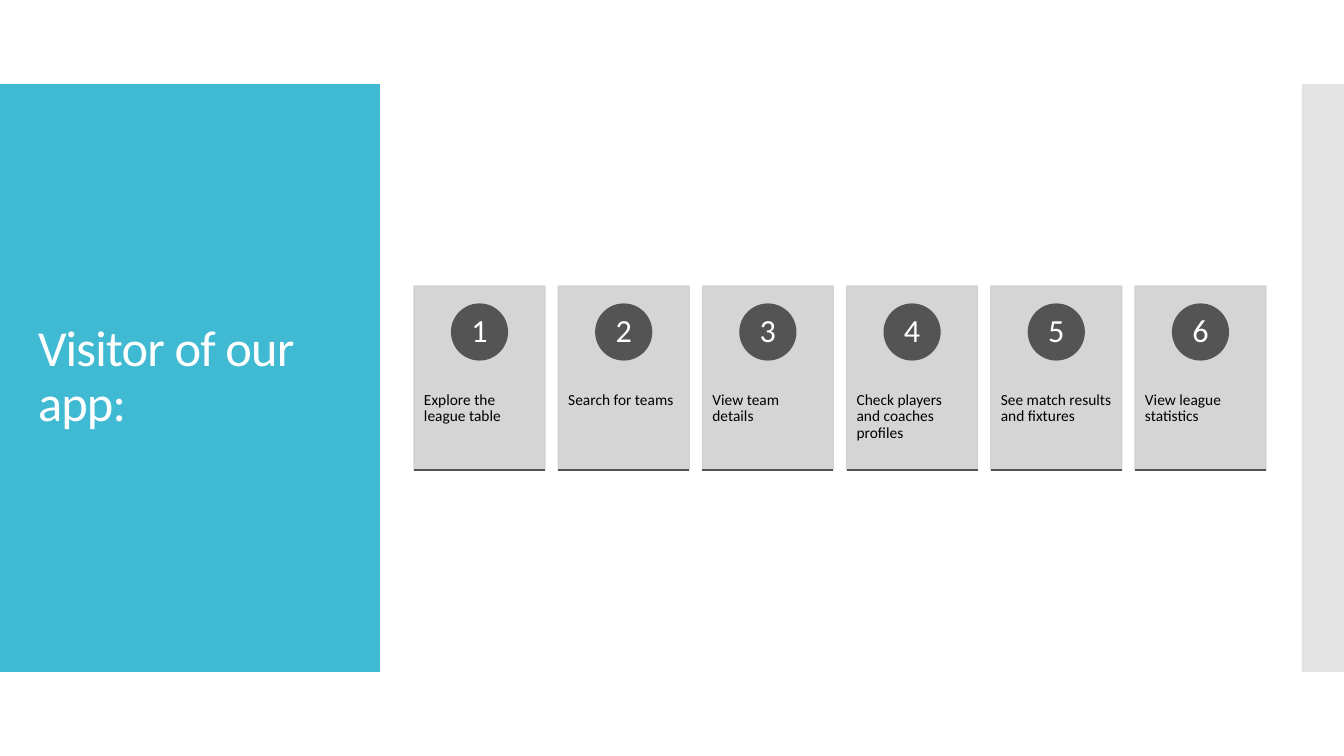
from pptx import Presentation
from pptx.dml.color import RGBColor
from pptx.enum.shapes import MSO_CONNECTOR as CONNECTOR, MSO_SHAPE as SHAPE
from pptx.enum.text import MSO_ANCHOR as ANCHOR, MSO_AUTO_SIZE as AUTO_SIZE, PP_ALIGN as ALIGN
from pptx.oxml.ns import qn
from pptx.util import Pt
from lxml.etree import SubElement

TITLE = "Visitor of our app:"
ACTIONS = [
    "Explore the league table",
    "Search for teams",
    "View team details",
    "Check players and coaches profiles",
    "See match results and fixtures",
    "View league statistics",
]

TEAL = RGBColor(0x40, 0xBA, 0xD2)
SILVER = RGBColor(0xC8, 0xC8, 0xC8)
CARD_GREY = RGBColor(0xD1, 0xD1, 0xD1)
DARK_GREY = RGBColor(0x54, 0x54, 0x54)
WHITE = RGBColor(0xFF, 0xFF, 0xFF)
BLACK = RGBColor(0, 0, 0)

FONT = "Calibri"
LINE_WIDTH = Pt(0.85)
SLIDE_WIDTH, SLIDE_HEIGHT = 1344, 756
BAND_TOP, BAND_HEIGHT = 84, 588
PANEL_WIDTH, STRIP_WIDTH = 380, 42
CARD_TOP, CARD_WIDTH, CARD_HEIGHT = 286, 131, 184
FIRST_CARD, LAST_CARD = 414, 1135
BADGE_TOP, BADGE_SIZE = 304, 56
LABEL_TOP = 392


def px(length):
    return round(length * 914400 / 100.8)


def set_opacity(color_format, percent):
    color = color_format._xFill.find(qn("a:srgbClr"))
    SubElement(color, qn("a:alpha")).set("val", str(percent * 1000))


def add_block(kind, box, color, opacity=100, outlined=False):
    block = slide.shapes.add_shape(kind, *map(px, box))
    block.shadow.inherit = False
    fills = [block.fill]
    if outlined:
        block.line.width = LINE_WIDTH
        fills.append(block.line.fill)
    else:
        block.line.fill.background()
    for fill in fills:
        fill.solid()
        fill.fore_color.rgb = color
        if opacity < 100:
            set_opacity(fill.fore_color, opacity)
    return block


def write(holder, text, size, color, align, anchor, insets):
    frame = holder.text_frame
    frame.text = text
    frame.word_wrap = True
    frame.auto_size = AUTO_SIZE.NONE
    frame.vertical_anchor = anchor
    frame.margin_left, frame.margin_top, frame.margin_right, frame.margin_bottom = map(px, insets)
    paragraph = frame.paragraphs[0]
    paragraph.alignment = align
    paragraph.line_spacing = 0.9
    paragraph.font.name = FONT
    paragraph.font.size = Pt(size)
    paragraph.font.color.rgb = color
    return paragraph


def add_card(number, action, left):
    card = add_block(SHAPE.RECTANGLE, (left, CARD_TOP, CARD_WIDTH, CARD_HEIGHT),
                     CARD_GREY, 90, outlined=True)
    write(card, action, 11, BLACK, ALIGN.LEFT, ANCHOR.TOP, (10, LABEL_TOP - CARD_TOP, 10, 0))

    badge_left = left + (CARD_WIDTH - BADGE_SIZE) / 2
    badge = add_block(SHAPE.OVAL, (badge_left, BADGE_TOP, BADGE_SIZE, BADGE_SIZE),
                      DARK_GREY, outlined=True)
    write(badge, str(number), 23, WHITE, ALIGN.CENTER, ANCHOR.MIDDLE, (4, 1, 4, 1))

    bottom = CARD_TOP + CARD_HEIGHT
    rule = slide.shapes.add_connector(CONNECTOR.STRAIGHT, px(left), px(bottom),
                                      px(left + CARD_WIDTH), px(bottom))
    rule.line.color.rgb = DARK_GREY
    rule.line.width = LINE_WIDTH
    SubElement(rule._element.spPr, qn("a:effectLst"))


prs = Presentation()
prs.slide_width, prs.slide_height = px(SLIDE_WIDTH), px(SLIDE_HEIGHT)
slide = prs.slides.add_slide(prs.slide_layouts[5])

add_block(SHAPE.RECTANGLE, (0, BAND_TOP, PANEL_WIDTH, BAND_HEIGHT), TEAL)
add_block(SHAPE.RECTANGLE, (SLIDE_WIDTH - STRIP_WIDTH, BAND_TOP, STRIP_WIDTH, BAND_HEIGHT), SILVER, 50)

title = slide.shapes.title
title.left, title.top, title.width, title.height = map(px, (28, 124, 325, 507))
heading = write(title, TITLE, 36, WHITE, ALIGN.LEFT, ANCHOR.MIDDLE, (10, 5, 10, 5))
heading.runs[0]._r.get_or_add_rPr().set("spc", "-60")
slide.shapes._spTree.append(title._element)

pitch = (LAST_CARD - FIRST_CARD) / (len(ACTIONS) - 1)
for index, action in enumerate(ACTIONS):
    add_card(index + 1, action, FIRST_CARD + index * pitch)

prs.save("out.pptx")
